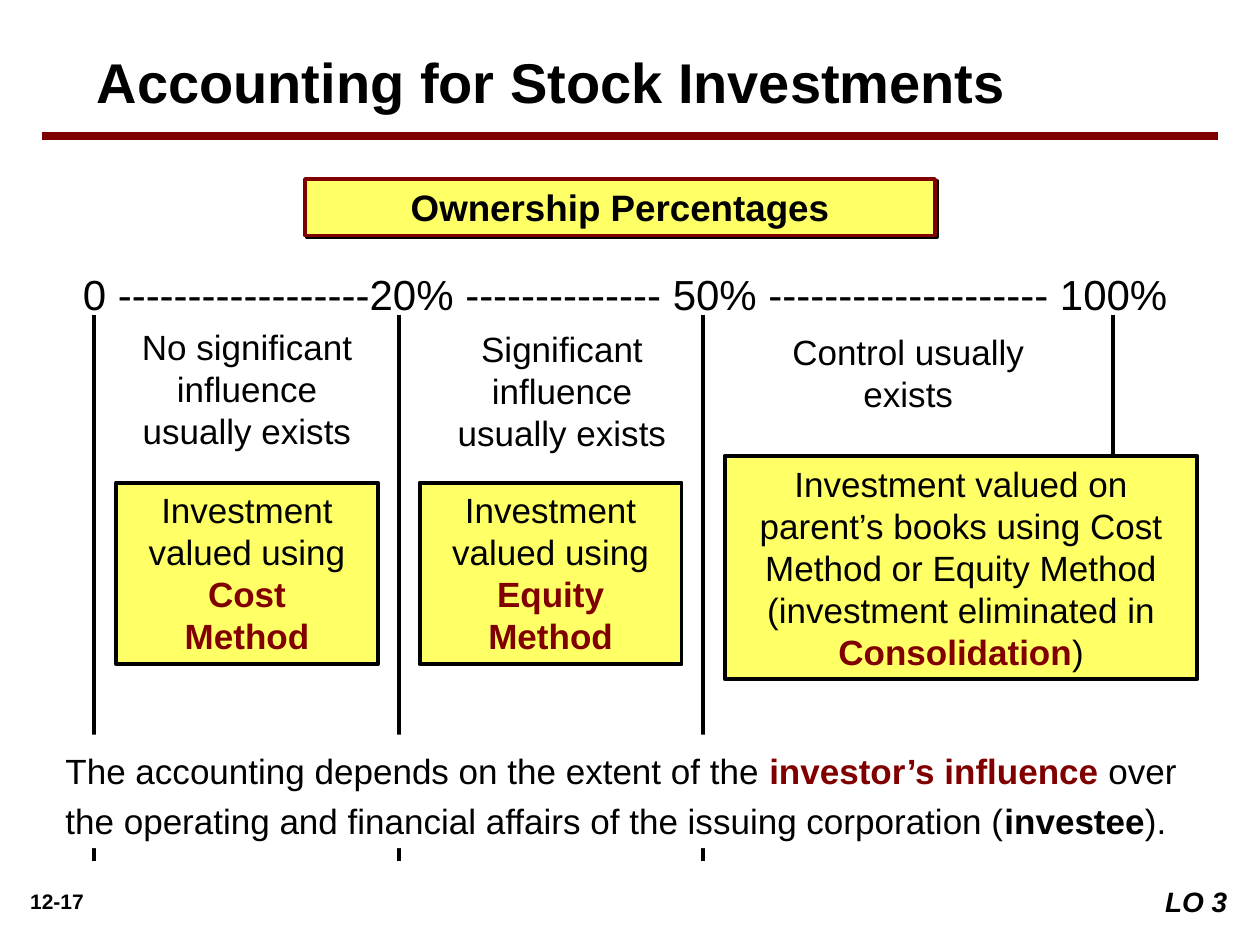
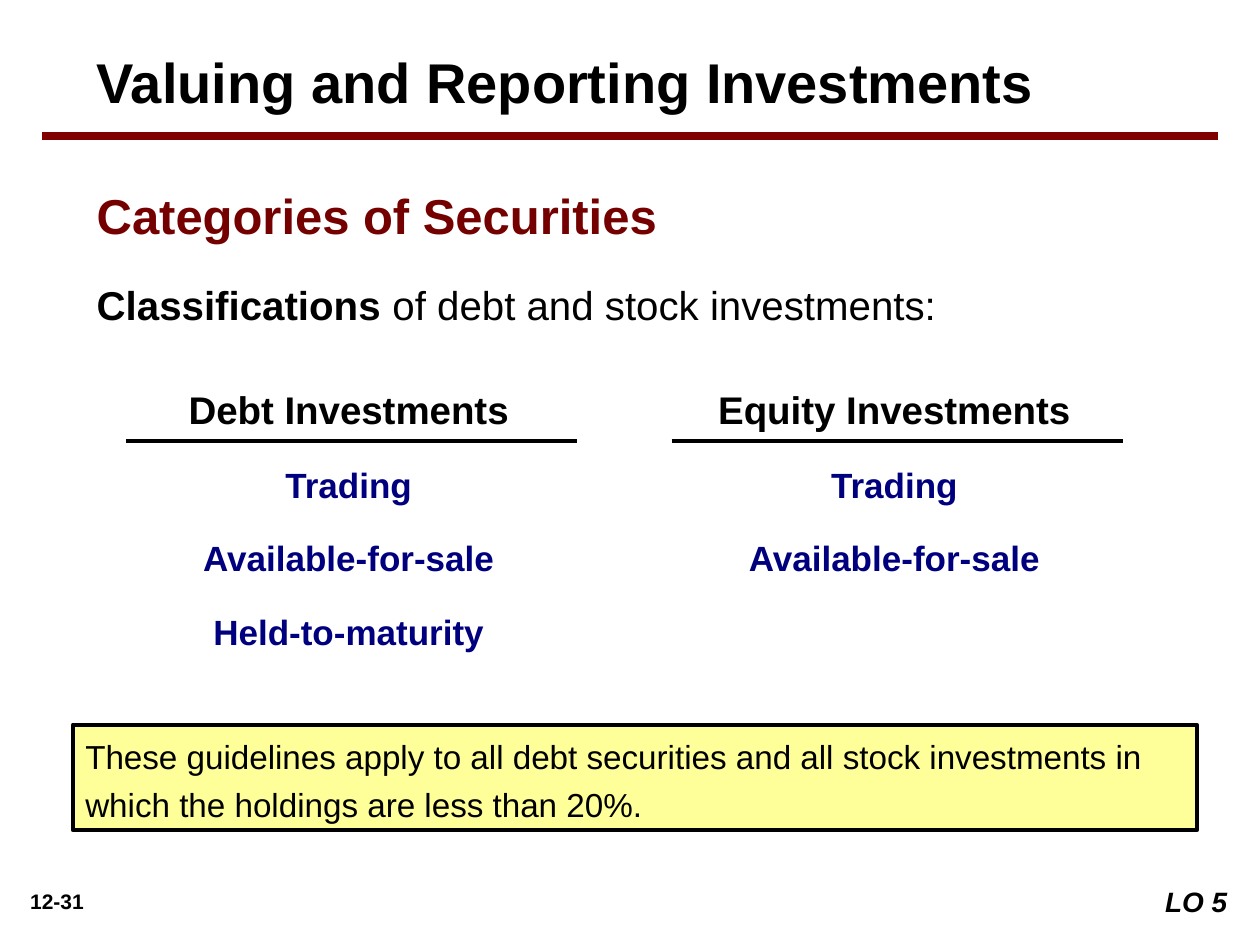
from dataclasses import dataclass

from lxml.etree import SubElement
from pptx import Presentation
from pptx.dml.color import RGBColor
from pptx.enum.shapes import MSO_CONNECTOR, MSO_SHAPE
from pptx.enum.text import MSO_ANCHOR, PP_ALIGN
from pptx.oxml.ns import qn
from pptx.util import Cm, Pt


@dataclass(frozen=True)
class Theme:
    font: str = "Arial"
    black: str = "000000"
    white: str = "FFFFFF"
    maroon: str = "800000"
    heading_maroon: str = "740000"
    navy: str = "00007F"
    yellow: str = "FFFF66"
    pale_yellow: str = "FFFF99"
    title_size: int = 32
    heading_size: int = 28
    scale_size: int = 24
    lead_size: int = 23
    column_size: int = 22
    banner_size: int = 21
    body_size: int = 20
    note_size: int = 19
    objective_size: int = 16
    page_size: int = 12
    line_width: float = 2.25
    rule_width: float = 4.5


THEME = Theme()
KEY_TERM = {"color": THEME.maroon, "bold": True}
BOLD = {"bold": True}


def rgb(color):
    return RGBColor.from_string(color)


def format_font(font, color=THEME.black, size=THEME.body_size, **values):
    values = {"name": THEME.font, "size": Pt(size), **values}
    for name, value in values.items():
        setattr(font, name, value)
    font.color.rgb = rgb(color)


def write_text(shape, paragraphs, base=None, align=PP_ALIGN.LEFT,
               line_spacing=None, gap=0, margins=None):
    """Write paragraphs, each a list of (text, format) runs over a base format."""
    frame = shape.text_frame
    settings = {"word_wrap": True, "vertical_anchor": MSO_ANCHOR.TOP, **(margins or {})}
    for name, value in settings.items():
        setattr(frame, name, value)
    for index, runs in enumerate(paragraphs):
        paragraph = frame.add_paragraph() if index else frame.paragraphs[0]
        values = {"alignment": align, "line_spacing": line_spacing,
                  "space_before": Pt(gap if index else 0)}
        for name, value in values.items():
            setattr(paragraph, name, value)
        for text, run_format in runs:
            for part_index, part in enumerate(text.split("\n")):
                if part_index:
                    paragraph.add_line_break()
                if part:
                    run = paragraph.add_run()
                    run.text = part
                    format_font(run.font, **{**(base or {}), **run_format})


def add_text(slide, box, paragraphs, **options):
    shape = slide.shapes.add_textbox(*map(Cm, box))
    write_text(shape, paragraphs, **options)


def add_panel(slide, box, paragraphs, fill=THEME.yellow, outline=THEME.black, **options):
    shape = slide.shapes.add_shape(MSO_SHAPE.RECTANGLE, *map(Cm, box))
    shape.shadow.inherit = False
    shape.fill.solid()
    shape.fill.fore_color.rgb = rgb(fill)
    if outline:
        shape.line.color.rgb = rgb(outline)
        shape.line.width = Pt(THEME.line_width)
    else:
        shape.line.fill.background()
    write_text(shape, paragraphs, **options)
    return shape


def add_hard_shadow(shape):
    effects = shape._element.spPr.find(qn("a:effectLst"))
    shadow = SubElement(effects, qn("a:outerShdw"), dist=str(Pt(1.4)),
                        dir="2700000", algn="ctr", rotWithShape="0")
    SubElement(shadow, qn("a:srgbClr"), val=THEME.black)


def add_line(slide, ends, color=THEME.black, width=THEME.line_width):
    line = slide.shapes.add_connector(MSO_CONNECTOR.STRAIGHT, *map(Cm, ends))
    line.line.color.rgb = rgb(color)
    line.line.width = Pt(width)
    SubElement(line._element.spPr, qn("a:effectLst"))


def add_frame(slide, title, page, objective):
    """Add the title, its rule and the two footers."""
    add_text(slide, (1.7, 0.84, 22.86, 1.55), [[(title, BOLD)]],
             base={"size": THEME.title_size})
    add_line(slide, (0.84, 2.74, 24.56, 2.74), THEME.maroon, THEME.rule_width)
    add_text(slide, (0.2, 17.78, 1.9, 0.76), [[(page, BOLD)]],
             base={"size": THEME.page_size}, align=PP_ALIGN.CENTER)
    add_panel(slide, (22.66, 17.7, 2.33, 0.94), [[(objective, BOLD)]],
              fill=THEME.white, outline=None, align=PP_ALIGN.RIGHT,
              base={"size": THEME.objective_size, "italic": True})


def add_category_column(slide, left, heading, categories):
    width = 9.1
    rows = [[(heading, {"size": THEME.column_size})]]
    rows += [[(category, {"color": THEME.navy})] for category in categories]
    add_text(slide, (left, 7.42, width, 1.47 * len(rows)), rows, base=BOLD,
             align=PP_ALIGN.CENTER, line_spacing=1.25, gap=12,
             margins={"margin_left": Cm(0.13)})
    add_line(slide, (left, 8.89, left + width, 8.89))


def build_ownership_slide(slide):
    add_text(slide, (1.42, 5.28, 22.45, 1.52),
             [[("0 ------------------20% -------------- 50% -------------------- 100%", {})]],
             base={"size": THEME.scale_size})
    scale_top, scale_bottom = 6.35, 17.35
    for x, bottom in ((1.9, scale_bottom), (8.05, scale_bottom),
                      (14.17, scale_bottom), (22.43, 12.9)):
        add_line(slide, (x, scale_top, x, bottom))

    influences = (
        (2.34, 6.43, "No significant influence usually exists"),
        (8.69, 6.48, "Significant influence usually exists"),
        (15.67, 6.53, "Control usually exists"),
    )
    for left, top, influence in influences:
        add_text(slide, (left, top, 5.28, 2.79), [[(influence, {})]], align=PP_ALIGN.CENTER)

    methods = (
        ((2.34, 9.73, 5.28, 3.66),
         [("Investment valued using", {}), ("\nCost\nMethod", KEY_TERM)]),
        ((8.46, 9.73, 5.28, 3.66),
         [("Investment valued using", {}), ("\nEquity\nMethod", KEY_TERM)]),
        ((14.61, 9.19, 9.53, 4.5),
         [("Investment valued on parent’s books using Cost Method or Equity Method "
           "(investment eliminated in ", {}), ("Consolidation", KEY_TERM), (")", {})]),
    )
    for box, runs in methods:
        add_panel(slide, box, [runs], align=PP_ALIGN.CENTER)

    banner = add_panel(slide, (6.15, 3.61, 12.7, 1.14),
                       [[("Ownership Percentages", BOLD)]], outline=THEME.maroon,
                       base={"size": THEME.banner_size}, align=PP_ALIGN.CENTER)
    add_hard_shadow(banner)
    add_panel(slide, (1.07, 14.81, 23.06, 2.29), [[
        ("The accounting depends on the extent of the ", {}),
        ("investor’s influence", KEY_TERM),
        (" over the operating and financial affairs of the issuing corporation (", {}),
        ("investee", BOLD),
        (").", {}),
    ]], fill=THEME.white, outline=None, line_spacing=1.2)
    add_frame(slide, "Accounting for Stock Investments", "12-17", "LO 3")


def build_categories_slide(slide):
    add_frame(slide, "Valuing and Reporting Investments", "12-31", "LO 5")
    add_text(slide, (1.7, 3.61, 21.16, 1.45), [[("Categories of Securities", BOLD)]],
             base={"size": THEME.heading_size, "color": THEME.heading_maroon})
    add_text(slide, (1.7, 5.28, 21.16, 1.47),
             [[("Classifications", BOLD), (" of debt and stock investments:", {})]],
             base={"size": THEME.lead_size}, line_spacing=1.25)

    columns = {
        "Debt Investments": ("Trading", "Available-for-sale", "Held-to-maturity"),
        "Equity Investments": ("Trading", "Available-for-sale"),
    }
    for index, (heading, categories) in enumerate(columns.items()):
        add_category_column(slide, 2.54 + 11 * index, heading, categories)

    add_panel(slide, (1.47, 14.61, 22.66, 2.13),
              [[("These guidelines apply to all debt securities and all stock "
                 "investments in which the holdings are less than 20%.", {})]],
              fill=THEME.pale_yellow, base={"size": THEME.note_size},
              line_spacing=1.2, margins={"margin_top": Cm(0.08)})


def main():
    presentation = Presentation()
    presentation.slide_width, presentation.slide_height = Cm(25.4), Cm(19.05)
    blank = presentation.slide_layouts[6]
    for build in (build_ownership_slide, build_categories_slide):
        build(presentation.slides.add_slide(blank))
    presentation.save("out.pptx")


if __name__ == "__main__":
    main()
